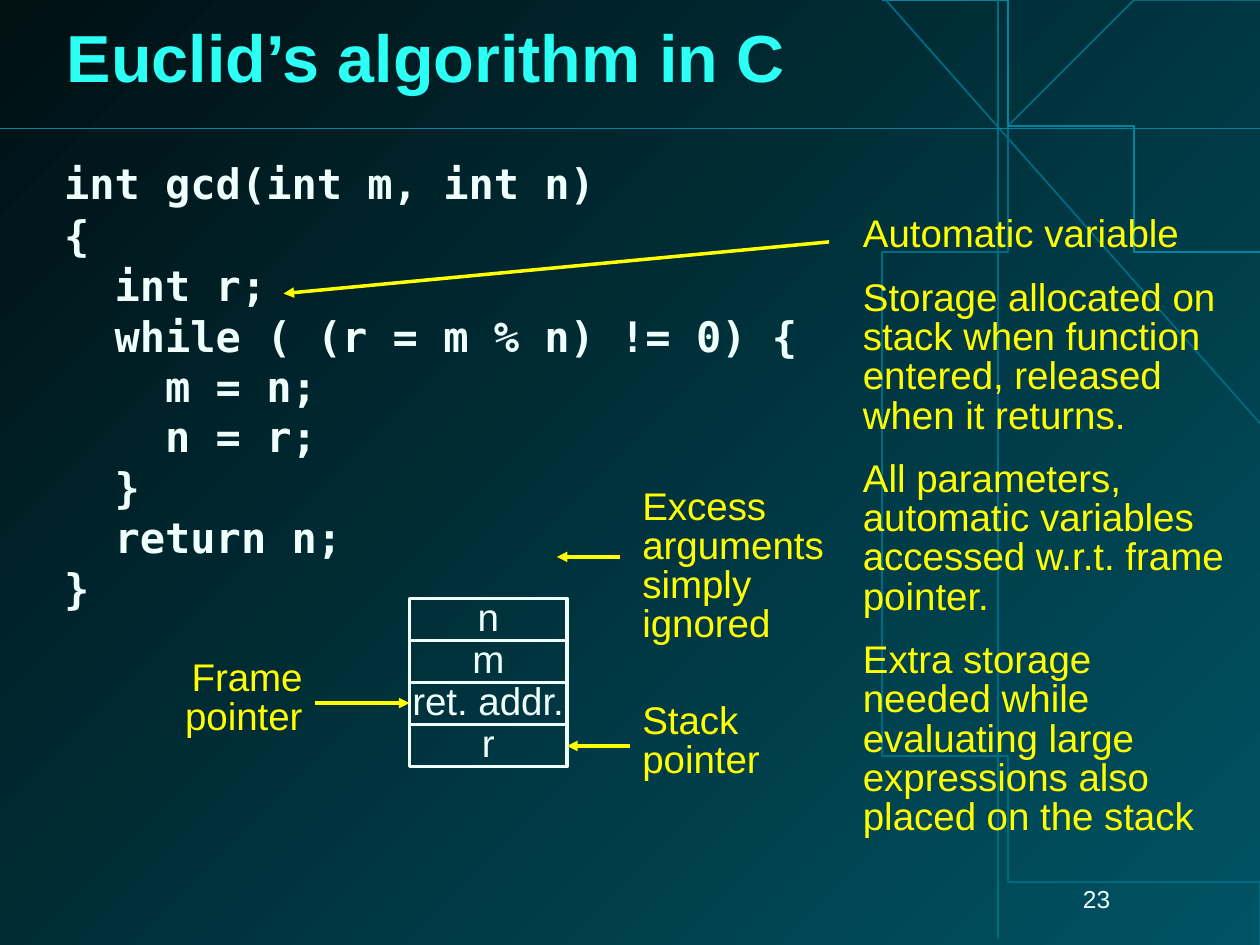
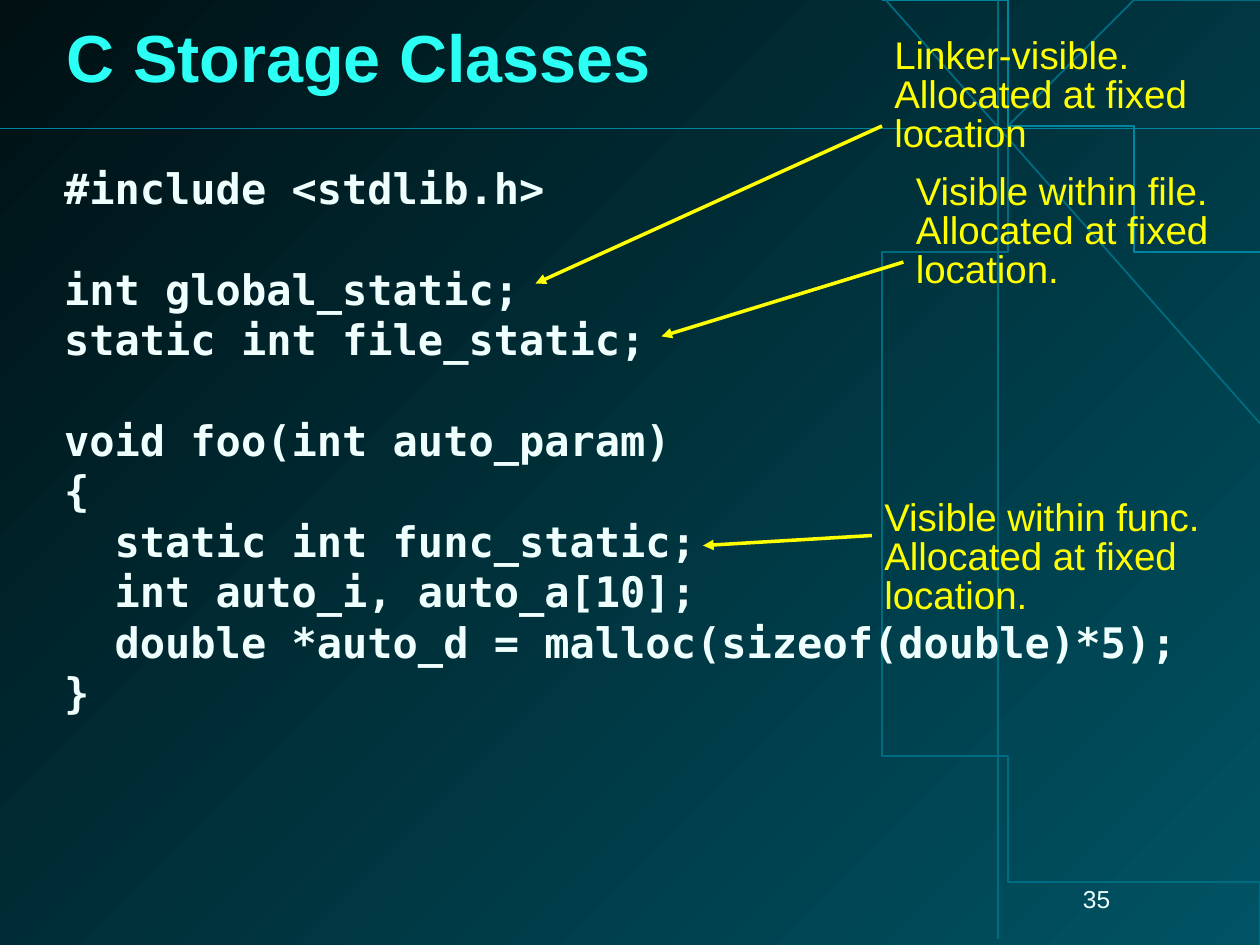
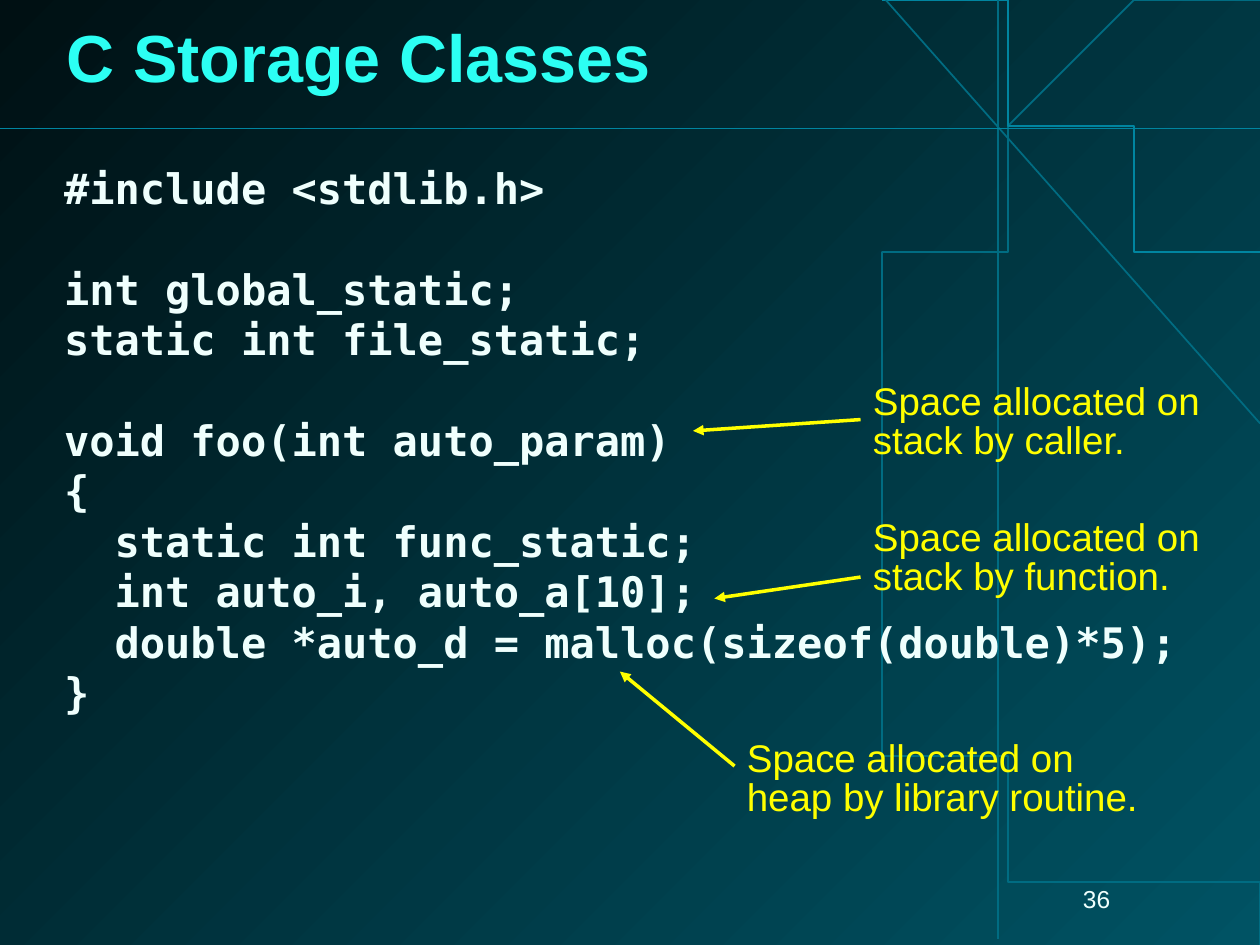
from lxml.etree import SubElement
from pptx import Presentation
from pptx.dml.color import RGBColor
from pptx.enum.shapes import MSO_CONNECTOR as CONNECTOR, MSO_SHAPE as SHAPE
from pptx.enum.text import MSO_ANCHOR as ANCHOR, MSO_AUTO_SIZE as AUTO_SIZE, PP_ALIGN as ALIGN
from pptx.oxml import parse_xml
from pptx.oxml.ns import nsdecls, qn
from pptx.util import Inches, Pt

TEAL = RGBColor(0x00, 0x53, 0x64)
NIGHT = RGBColor(0x00, 0x10, 0x13)
DIM_LINE = RGBColor(0x00, 0x6C, 0x82)
BRIGHT_LINE = RGBColor(0x00, 0x85, 0xA0)
CYAN = RGBColor(0x2C, 0xFF, 0xF3)
ICE = RGBColor(0xEF, 0xFF, 0xFD)
YELLOW = RGBColor(0xFF, 0xFF, 0x00)

TITLE_FONT = {"name": "Arial", "size": Pt(38), "bold": True, "color": CYAN}
CODE_FONT = {"name": "DejaVu Sans Mono", "size": Pt(24), "bold": True, "color": ICE}
NOTE_FONT = {"name": "Arial", "size": Pt(22), "color": YELLOW}
STACK_FONT = NOTE_FONT | {"color": ICE}
NUMBER_FONT = {"name": "Arial", "size": Pt(14), "color": ICE}
TIGHT = 0.85
CODE_LINE = Pt(28.8)

# Start point followed by cubic Bezier segments
ARCS = [
    (DIM_LINE, (9.9, 7.5), [((8.22, 7.41), (6.91, 5.69), (6.96, 3.64)),
                            ((7.01, 1.59), (8.4, -0.03), (10.08, 0))]),
    (BRIGHT_LINE, (9.97, 1.9), [((8.71, 1.89), (7.64, 1.08), (7.44, -0.01))]),
]
RULES = [
    (DIM_LINE, (10, 3.36), (7.03, 0)),
    (DIM_LINE, (7.92, 0), (7.92, 7.45)),
    (BRIGHT_LINE, (0, 1.02), (10, 1.02)),
]

GCD_CODE = """int gcd(int m, int n)
{
  int r;
  while ( (r = m % n) != 0) {
    m = n;
    n = r;
  }
  return n;
}"""

STORAGE_CODE = """#include <stdlib.h>

int global_static;
static int file_static;

void foo(int auto_param)
{
  static int func_static;
  int auto_i, auto_a[10];
  double *auto_d = malloc(sizeof(double)*5);
}"""

# Notes: box (left, top, width, height), paragraphs, alignment
# Arrows: start, end
SLIDES = [
    {
        "title": "Euclid’s algorithm in C",
        "number": "23",
        "code": GCD_CODE,
        "first_line_spacing": 0.93,
        "stack": ["n", "m", "ret. addr.", "r"],
        "notes": [
            ((6.75, 1.67, 3.08, 5.04), [
                "Automatic variable",
                "Storage allocated on stack when function entered, released when it returns.",
                "All parameters, automatic variables accessed w.r.t. frame pointer.",
                "Extra storage needed while evaluating large expressions also placed on the stack",
            ], ALIGN.LEFT),
            ((1.33, 5.19, 1.17, 0.73), ["Frame pointer"], ALIGN.RIGHT),
            ((5, 5.53, 1.17, 0.73), ["Stack pointer"], ALIGN.LEFT),
            ((5, 3.83, 1.67, 1.35), ["Excess arguments simply ignored"], ALIGN.LEFT),
        ],
        "arrows": [
            ((6.58, 1.92), (2.25, 2.33)),
            ((2.5, 5.58), (3.25, 5.58)),
            ((5, 5.92), (4.5, 5.92)),
            ((4.92, 4.42), (4.42, 4.42)),
        ],
    },
    {
        "title": "C Storage Classes",
        "number": "35",
        "code": STORAGE_CODE,
        "notes": [
            ((7, 0.25, 2.83, 1.04),
             ["Linker-visible. Allocated at fixed location"], ALIGN.LEFT),
            ((7.17, 1.33, 2.83, 1.04),
             ["Visible within file. Allocated at fixed location."], ALIGN.LEFT),
            ((6.92, 3.92, 2.83, 1.04),
             ["Visible within func. Allocated at fixed location."], ALIGN.LEFT),
        ],
        "arrows": [
            ((7, 1), (4.25, 2.25)),
            ((7.17, 2.08), (5.25, 2.67)),
            ((6.92, 4.25), (5.58, 4.33)),
        ],
    },
    {
        "title": "C Storage Classes",
        "number": "36",
        "code": STORAGE_CODE,
        "notes": [
            ((6.83, 4.08, 2.83, 0.73),
             ["Space allocated on stack by function."], ALIGN.LEFT),
            ((6.83, 3, 2.83, 0.73),
             ["Space allocated on stack by caller."], ALIGN.LEFT),
            ((5.83, 5.83, 3.33, 0.73),
             ["Space allocated on heap by library routine."], ALIGN.LEFT),
        ],
        "arrows": [
            ((6.83, 4.58), (5.67, 4.75)),
            ((6.83, 3.33), (5.5, 3.42)),
            ((5.83, 6.08), (4.92, 5.33)),
        ],
    },
]


def inches(values):
    return [Inches(value) for value in values]


def write(paragraph, text, font, **layout):
    """Put text in a paragraph as one run; layout holds paragraph attributes."""
    for name, value in layout.items():
        setattr(paragraph, name, value)
    run = paragraph.add_run()
    run.text = text
    for name, value in font.items():
        if name == "color":
            run.font.color.rgb = value
        else:
            setattr(run.font, name, value)
    return run


def paragraphs_for(frame, texts):
    """Yield (index, paragraph, text), adding paragraphs as needed."""
    for index, text in enumerate(texts):
        yield index, frame.add_paragraph() if index else frame.paragraphs[0], text


def add_line(slide, start, end, color, width, arrow=False):
    line = slide.shapes.add_connector(CONNECTOR.STRAIGHT, *inches(start + end))
    line.line.color.rgb = color
    line.line.width = Pt(width)
    if arrow:
        SubElement(line.line._get_or_add_ln(), qn("a:tailEnd"), type="triangle")
    SubElement(line.element.spPr, qn("a:effectLst"))


def bezier_points(start, segments, steps=40):
    points = [start]
    for segment in segments:
        corners = (points[-1], *segment)
        for step in range(1, steps + 1):
            t = step / steps
            weights = ((1 - t) ** 3, 3 * t * (1 - t) ** 2, 3 * t * t * (1 - t), t ** 3)
            points.append(tuple(sum(w * corner[axis] for w, corner in zip(weights, corners))
                                for axis in (0, 1)))
    return points


def add_backdrop(slide):
    for color, start, segments in ARCS:
        first, *rest = bezier_points(start, segments)
        builder = slide.shapes.build_freeform(*first, scale=Inches(1))
        builder.add_line_segments(rest, close=False)
        arc = builder.convert_to_shape()
        arc.shadow.inherit = False
        arc.fill.background()
        arc.line.color.rgb = color
        arc.line.width = Pt(1)
    for color, start, end in RULES:
        add_line(slide, start, end, color, 1)


def add_title(slide, text):
    title = slide.shapes.title
    slide.shapes.element.append(title.element)  # in front of the backdrop
    title.left, title.top, title.width, title.height = inches((0.43, 0, 9.21, 0.98))
    frame = title.text_frame
    frame.vertical_anchor = ANCHOR.MIDDLE
    frame.auto_size = AUTO_SIZE.NONE
    run = write(frame.paragraphs[0], text, TITLE_FONT, alignment=ALIGN.LEFT, line_spacing=0.87)
    shadow = parse_xml(
        f'<a:effectLst {nsdecls("a")}><a:outerShdw dist="50800" dir="2700000">'
        '<a:srgbClr val="000000"/></a:outerShdw></a:effectLst>')
    run.font._element.find(qn("a:solidFill")).addnext(shadow)


def add_text_box(slide, box, auto_size=AUTO_SIZE.SHAPE_TO_FIT_TEXT):
    frame = slide.shapes.add_textbox(*inches(box)).text_frame
    frame.word_wrap = True
    frame.auto_size = auto_size
    return frame


def add_code(slide, code, first_line_spacing):
    """Write one paragraph per code line; an empty line becomes space before the next."""
    frame = add_text_box(slide, (0.41, 1.24, 9.12, 5.59), AUTO_SIZE.NONE)
    lines = code.split("\n")
    follows_gap = [False] + [not line for line in lines]
    shown = [(line, gap) for line, gap in zip(lines, follows_gap) if line]
    for index, paragraph, (line, gap) in paragraphs_for(frame, shown):
        write(paragraph, line, CODE_FONT,
              line_spacing=1.0 if index else first_line_spacing,
              space_before=CODE_LINE if gap else Pt(0))


def add_note(slide, box, texts, alignment):
    frame = add_text_box(slide, box)
    for index, paragraph, text in paragraphs_for(frame, texts):
        write(paragraph, text, NOTE_FONT, alignment=alignment, line_spacing=TIGHT,
              space_before=Pt(13.8 if index else 0))


def add_stack(slide, cells):
    height = 1 / 3
    for row, text in enumerate(cells):
        cell = slide.shapes.add_shape(
            SHAPE.RECTANGLE, *inches((3.25, 4.75 + row * height, 1.25, height)))
        cell.shadow.inherit = False
        cell.fill.background()
        cell.line.color.rgb = ICE
        cell.line.width = Pt(2)
        cell.text_frame.word_wrap = False
        cell.text_frame.vertical_anchor = ANCHOR.MIDDLE
        write(cell.text_frame.paragraphs[0], text, STACK_FONT,
              alignment=ALIGN.CENTER, line_spacing=TIGHT)


def set_background(master):
    fill = master.background.fill
    fill.gradient()
    fill.gradient_angle = 135
    for stop, color, position in zip(fill.gradient_stops, (TEAL, NIGHT), (0, 1)):
        stop.color.rgb = color
        stop.position = position


def main():
    deck = Presentation()
    deck.slide_width, deck.slide_height = inches((10, 7.5))
    set_background(deck.slide_master)
    title_only = deck.slide_layouts[5]
    for content in SLIDES:
        slide = deck.slides.add_slide(title_only)
        add_backdrop(slide)
        number = add_text_box(slide, (0.83, 7, 8.08, 0.3))
        write(number.paragraphs[0], content["number"], NUMBER_FONT,
              alignment=ALIGN.RIGHT, line_spacing=TIGHT)
        add_title(slide, content["title"])
        add_code(slide, content["code"], content.get("first_line_spacing", 1.0))
        add_stack(slide, content.get("stack", []))
        for start, end in content["arrows"]:
            add_line(slide, start, end, YELLOW, 2, arrow=True)
        for note in content["notes"]:
            add_note(slide, *note)
    deck.save("out.pptx")


if __name__ == "__main__":
    main()
